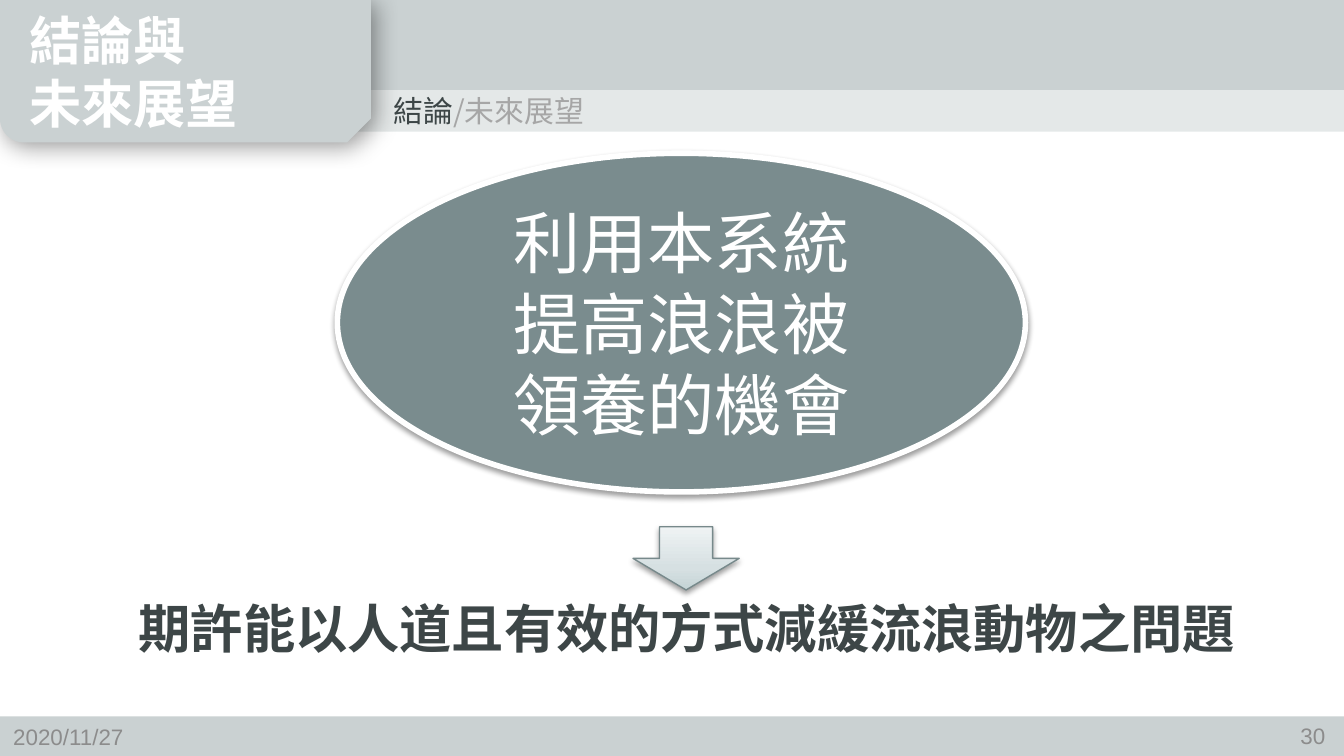
from copy import deepcopy
from dataclasses import dataclass

from lxml import etree
from pptx import Presentation
from pptx.dml.color import RGBColor
from pptx.enum.shapes import MSO_SHAPE as Shape
from pptx.enum.text import MSO_ANCHOR as Anchor, PP_ALIGN as Align
from pptx.oxml.ns import qn
from pptx.util import Inches, Pt


@dataclass(frozen=True)
class Theme:
    band: str = "CAD1D2"
    subband: str = "E4E8E8"
    dark: str = "3D4647"
    muted: str = "A6A6A6"
    footer: str = "8C8C8C"
    white: str = "FFFFFF"
    oval: str = "7A8C8E"
    arrow_line: str = "77898B"
    arrow_stops: tuple = ((0, "C5D4D6"), (0.35, "D6E0E2"), (1, "EFF3F4"))
    latin: str = "Arial"
    cjk: str = "Noto Sans CJK SC"
    title_size: int = 28
    crumb_size: int = 16
    footer_size: int = 12
    oval_size: int = 36


THEME = Theme()


def rgb(color):
    return RGBColor.from_string(color)


def box(left, top, width, height):
    return [Inches(length) for length in (left, top, width, height)]


def add_figure(slide, preset, place, fill=None, line=None, line_width=1):
    figure = slide.shapes.add_shape(preset, *box(*place))
    figure.shadow.inherit = False
    if fill:
        figure.fill.solid()
        figure.fill.fore_color.rgb = rgb(fill)
    if line:
        figure.line.color.rgb = rgb(line)
        figure.line.width = Pt(line_width)
    else:
        figure.line.fill.background()
    return figure


def cast_shadow(figure, opacity=38, blur=3.1, distance=1.6, angle=90):
    effects = figure._element.spPr.find(qn("a:effectLst"))
    shadow = etree.SubElement(
        effects, qn("a:outerShdw"), blurRad=str(Pt(blur)), dist=str(Pt(distance)),
        dir=str(angle * 60000), algn="ctr", rotWithShape="0")
    color = etree.SubElement(shadow, qn("a:srgbClr"), val="000000")
    etree.SubElement(color, qn("a:alpha"), val=str(opacity * 1000))


def fill_upward(figure, stops):
    figure.fill.gradient()
    figure.fill.gradient_angle = 90
    stop_list = figure._element.spPr.find(qn("a:gradFill")).find(qn("a:gsLst"))
    stop_list.append(deepcopy(stop_list[-1]))
    for stop, (position, color) in zip(figure.fill.gradient_stops, stops):
        stop.position = position
        stop.color.rgb = rgb(color)


def write(figure, lines, size, font, align=Align.LEFT, anchor=Anchor.TOP, bold=False):
    frame = figure.text_frame
    frame.word_wrap = True
    frame.vertical_anchor = anchor
    for index, line in enumerate(lines):
        paragraph = frame.add_paragraph() if index else frame.paragraphs[0]
        paragraph.alignment = align
        for text, color in line:
            run = paragraph.add_run()
            run.text = text
            run.font.size = Pt(size)
            run.font.bold = bold
            run.font.name = font
            run.font.color.rgb = rgb(color)
            if font == THEME.cjk:
                east_asian = etree.Element(qn("a:ea"), typeface=font)
                run.font._element.find(qn("a:latin")).addnext(east_asian)


def add_text(slide, place, lines, size, font, **style):
    write(slide.shapes.add_textbox(*box(*place)), lines, size, font, **style)


def add_header(slide):
    add_figure(slide, Shape.RECTANGLE, (0, 0, 10, 0.67), THEME.band)
    add_figure(slide, Shape.RECTANGLE, (0, 5.33, 10, 0.3), THEME.band)
    add_figure(slide, Shape.RECTANGLE, (0.28, 0.67, 9.72, 0.31), THEME.subband)
    tab = add_figure(slide, Shape.SNIP_ROUND_RECTANGLE, (0, 0, 2.76, 1.06), THEME.band)
    tab._element.spPr.find(qn("a:xfrm")).set("flipV", "1")
    cast_shadow(tab, opacity=40, blur=13, distance=3, angle=45)
    title = [[(line, THEME.white)] for line in ("結論與", "未來展望")]
    add_text(slide, (0.12, 0.01, 2.52, 1.04), title, THEME.title_size, THEME.latin,
             align=Align.JUSTIFY, anchor=Anchor.MIDDLE, bold=True)
    crumbs = [[("結論", THEME.dark), ("/未來展望", THEME.muted)]]
    add_text(slide, (2.83, 0.64, 5.63, 0.37), crumbs, THEME.crumb_size, THEME.cjk)


def add_footer(slide):
    for left, top, text, align in ((0, 5.33, "2020/11/27", Align.LEFT),
                                   (7.63, 5.32, "30", Align.RIGHT)):
        add_text(slide, (left, top, 2.33, 0.3), [[(text, THEME.footer)]],
                 THEME.footer_size, THEME.latin, align=align, anchor=Anchor.MIDDLE)


def add_conclusion(slide):
    oval = add_figure(slide, Shape.OVAL, (2.51, 1.14, 5.12, 2.52),
                      THEME.oval, THEME.white, 3)
    cast_shadow(oval)
    benefit = [[(line, THEME.white)] for line in ("利用本系統", "提高浪浪被", "領養的機會")]
    write(oval, benefit, THEME.oval_size, THEME.cjk,
          align=Align.CENTER, anchor=Anchor.MIDDLE)
    arrow = add_figure(slide, Shape.DOWN_ARROW, (4.71, 3.92, 0.79, 0.47),
                       line=THEME.arrow_line, line_width=0.75)
    fill_upward(arrow, THEME.arrow_stops)
    cast_shadow(arrow)
    hope = [[("期許能以人道且有效的方式減緩流浪動物之問題", THEME.dark)]]
    add_text(slide, (0.88, 4.39, 8.46, 0.57), hope, THEME.title_size, THEME.cjk,
             align=Align.CENTER, bold=True)


def main():
    deck = Presentation()
    deck.slide_width = Inches(10)
    deck.slide_height = Inches(10 * 9 / 16)
    slide = deck.slides.add_slide(deck.slide_layouts[6])
    add_header(slide)
    add_footer(slide)
    add_conclusion(slide)
    deck.save("out.pptx")


if __name__ == "__main__":
    main()
